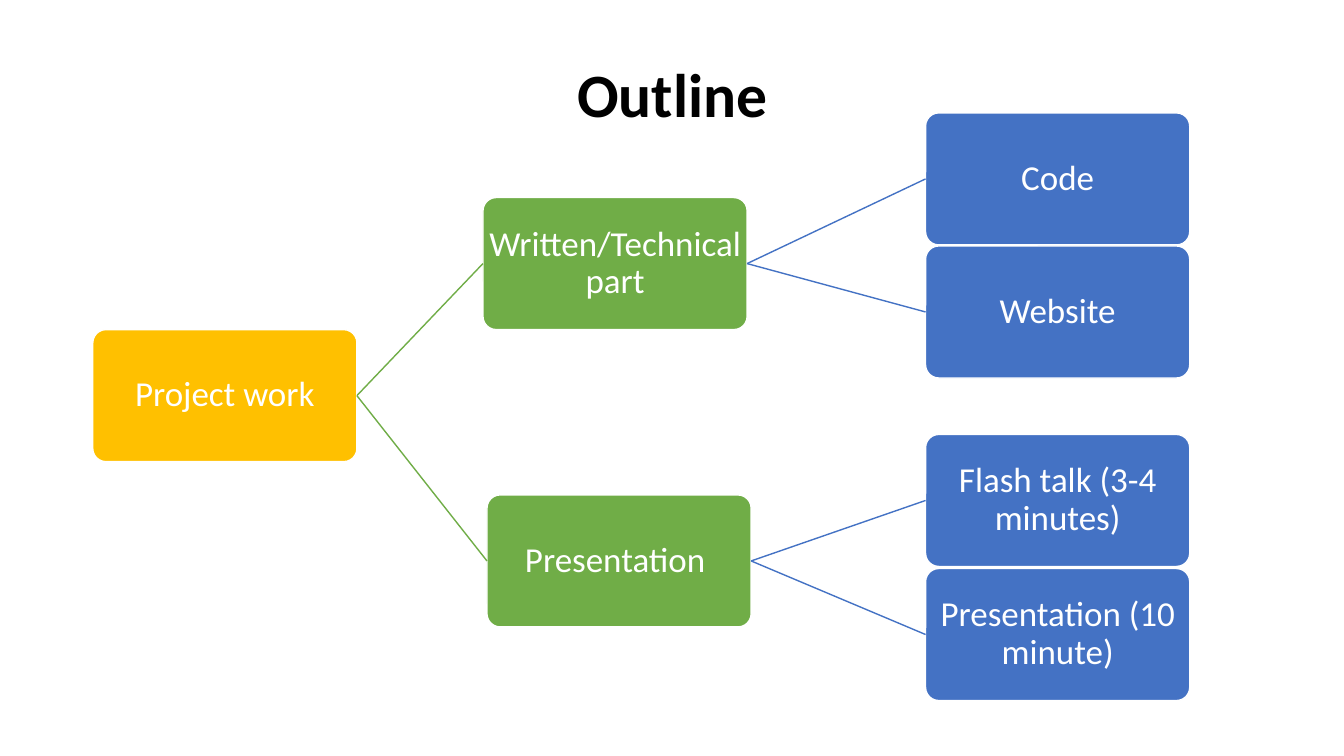
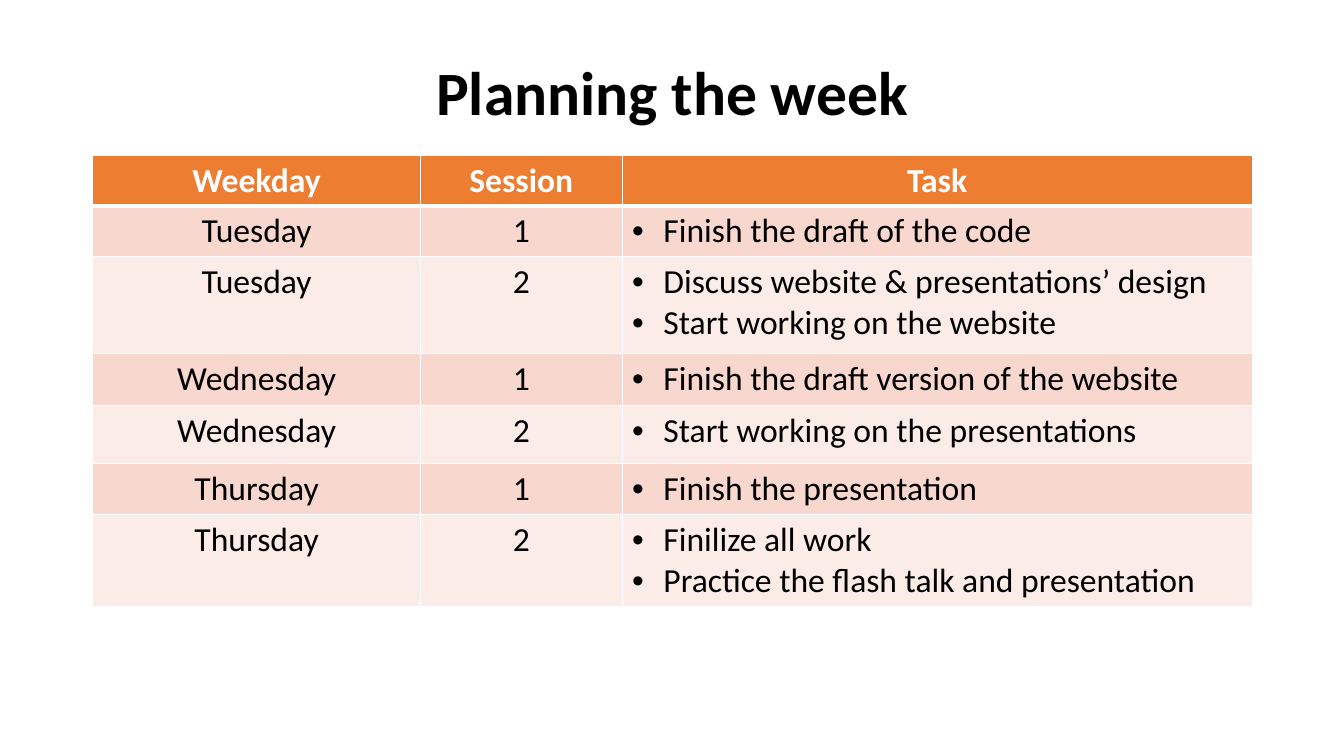
from lxml.etree import SubElement
from pptx import Presentation
from pptx.dml.color import RGBColor
from pptx.enum.shapes import MSO_CONNECTOR as Connector, MSO_SHAPE as Shape
from pptx.enum.text import MSO_ANCHOR as Anchor, PP_ALIGN as Align
from pptx.oxml.ns import qn
from pptx.util import Inches, Pt

FONT = "Calibri"
WHITE, BLACK = "FFFFFF", "000000"
GOLD, GREEN, BLUE = "FFC000", "70AD47", "4472C4"
HEADER_FILL, BAND_FILLS = "ED7D31", ("F8D7CE", "FCECE8")
LEFT, WIDTH = 0.92, 11.5
BOX_WIDTH, BOX_HEIGHT = 2.62, 1.31

# Each node: text, left, top, colour, children
PROJECT_TREE = ("Project work", LEFT, 3.27, GOLD, [
    ("Written/Technical part", 4.79, 1.96, GREEN, [
        ("Code", 9.18, 1.12, BLUE, []),
        ("Website", 9.18, 2.44, BLUE, []),
    ]),
    ("Presentation ", 4.83, 4.91, GREEN, [
        ("Flash talk (3-4 minutes)", 9.18, 4.31, BLUE, []),
        ("Presentation (10 minute)", 9.18, 5.64, BLUE, []),
    ]),
])

COLUMN_WIDTHS = (3.25, 2, 6.25)
ROW_HEIGHTS = (0.5, 0.5, 0.97, 0.51, 0.58, 0.5, 0.92)
HEADINGS = ("Weekday", "Session", "Task")
SESSIONS = [
    ("Tuesday", "1", ["Finish the draft of the code"]),
    ("Tuesday", "2", ["Discuss website & presentations’ design",
                      "Start working on the website"]),
    ("Wednesday", "1", ["Finish the draft version of the website"]),
    ("Wednesday", "2", ["Start working on the presentations"]),
    ("Thursday", "1", ["Finish the presentation"]),
    ("Thursday", "2", ["Finilize all work",
                       "Practice the flash talk and presentation"]),
]


def color(value):
    """Turn a hex string into a colour."""
    return RGBColor.from_string(value)


def add_run(paragraph, text, size, text_color, bold=False):
    """Add one formatted run to a paragraph."""
    run = paragraph.add_run()
    run.text = text
    run.font.name = FONT
    run.font.size = Pt(size)
    run.font.bold = bold
    run.font.color.rgb = color(text_color)


def write_centered(frame, text, size, text_color, bold=False):
    """Write one wrapped paragraph in the middle of a text frame."""
    frame.word_wrap = True
    frame.vertical_anchor = Anchor.MIDDLE
    paragraph = frame.paragraphs[0]
    paragraph.alignment = Align.CENTER
    paragraph.line_spacing = 0.9
    add_run(paragraph, text, size, text_color, bold)


def add_titled_slide(presentation, title, top):
    """Add a blank slide with the shared title style."""
    slide = presentation.slides.add_slide(presentation.slide_layouts[6])
    box = slide.shapes.add_textbox(
        Inches(LEFT), Inches(top), Inches(WIDTH), Inches(1.45))
    write_centered(box.text_frame, title, 44, BLACK, bold=True)
    return slide


def add_box(slide, text, left, top, fill):
    """Add one rounded box of the tree."""
    box = slide.shapes.add_shape(
        Shape.ROUNDED_RECTANGLE, Inches(left), Inches(top),
        Inches(BOX_WIDTH), Inches(BOX_HEIGHT))
    box.shadow.inherit = False
    box.adjustments[0] = 0.1
    box.fill.solid()
    box.fill.fore_color.rgb = color(fill)
    box.line.color.rgb = color(WHITE)
    box.line.width = Pt(1)
    frame = box.text_frame
    frame.margin_left = frame.margin_right = Inches(0.01)
    frame.margin_top = frame.margin_bottom = Inches(0.02)
    write_centered(frame, text, 25, WHITE)
    return box


def connect(slide, parent, child, line_color):
    """Join the right side of a parent to the left side of its child."""
    connector = slide.shapes.add_connector(Connector.STRAIGHT, 0, 0, 0, 0)
    connector.begin_connect(parent, 3)
    connector.end_connect(child, 1)
    connector.line.color.rgb = color(line_color)
    connector.line.width = Pt(1)
    SubElement(connector._element.spPr, qn("a:effectLst"))


def add_tree(slide, node):
    """Draw a node and, recursively, its connected children."""
    text, left, top, fill, children = node
    box = add_box(slide, text, left, top, fill)
    for child in children:
        connect(slide, box, add_tree(slide, child), child[3])
    return box


def style_cell(cell, fill, top=1, bottom=1):
    """Give a cell white borders and a solid fill."""
    properties = cell._tc.get_or_add_tcPr()
    for side, width in (("L", 1), ("R", 1), ("T", top), ("B", bottom)):
        line = SubElement(properties, qn(f"a:ln{side}"), w=str(Pt(width)))
        line_fill = SubElement(line, qn("a:solidFill"))
        SubElement(line_fill, qn("a:srgbClr"), val=WHITE)
    cell.fill.solid()
    cell.fill.fore_color.rgb = color(fill)


def add_bullet(paragraph):
    """Make a paragraph a bullet with a hanging indent."""
    properties = paragraph._p.get_or_add_pPr()
    indent = Inches(0.31)
    properties.set("marL", str(indent))
    properties.set("indent", str(-indent))
    SubElement(properties, qn("a:buFont"), typeface="Arial")
    SubElement(properties, qn("a:buChar"), char="•")


def fill_cell(cell, content, text_color, bold):
    """Write a centred string, or a list of bullets, into a cell."""
    bulleted = isinstance(content, list)
    frame = cell.text_frame
    for index, text in enumerate(content if bulleted else [content]):
        paragraph = frame.add_paragraph() if index else frame.paragraphs[0]
        if bulleted:
            add_bullet(paragraph)
        else:
            paragraph.alignment = Align.CENTER
        add_run(paragraph, text, 24, text_color, bold)


def add_schedule(slide):
    """Add the table of weekdays, sessions and tasks."""
    rows = [HEADINGS, *SESSIONS]
    table = slide.shapes.add_table(
        len(rows), len(HEADINGS), Inches(LEFT), Inches(1.54),
        Inches(WIDTH), Inches(sum(ROW_HEIGHTS))).table
    table.horz_banding = False
    for column, width in zip(table.columns, COLUMN_WIDTHS):
        column.width = Inches(width)
    for row, height in zip(table.rows, ROW_HEIGHTS):
        row.height = Inches(height)
    for row_index, row in enumerate(rows):
        heading = row_index == 0
        fill = HEADER_FILL if heading else BAND_FILLS[(row_index - 1) % 2]
        for column_index, content in enumerate(row):
            cell = table.cell(row_index, column_index)
            style_cell(cell, fill, top=3 if row_index == 1 else 1,
                       bottom=3 if heading else 1)
            fill_cell(cell, content, WHITE if heading else BLACK, heading)


def main():
    """Build and save the presentation."""
    presentation = Presentation()
    presentation.slide_width = Inches(13.33)
    presentation.slide_height = Inches(7.5)
    add_tree(add_titled_slide(presentation, "Outline", 0.24), PROJECT_TREE)
    add_schedule(add_titled_slide(presentation, "Planning the week", 0.22))
    presentation.save("out.pptx")


main()
